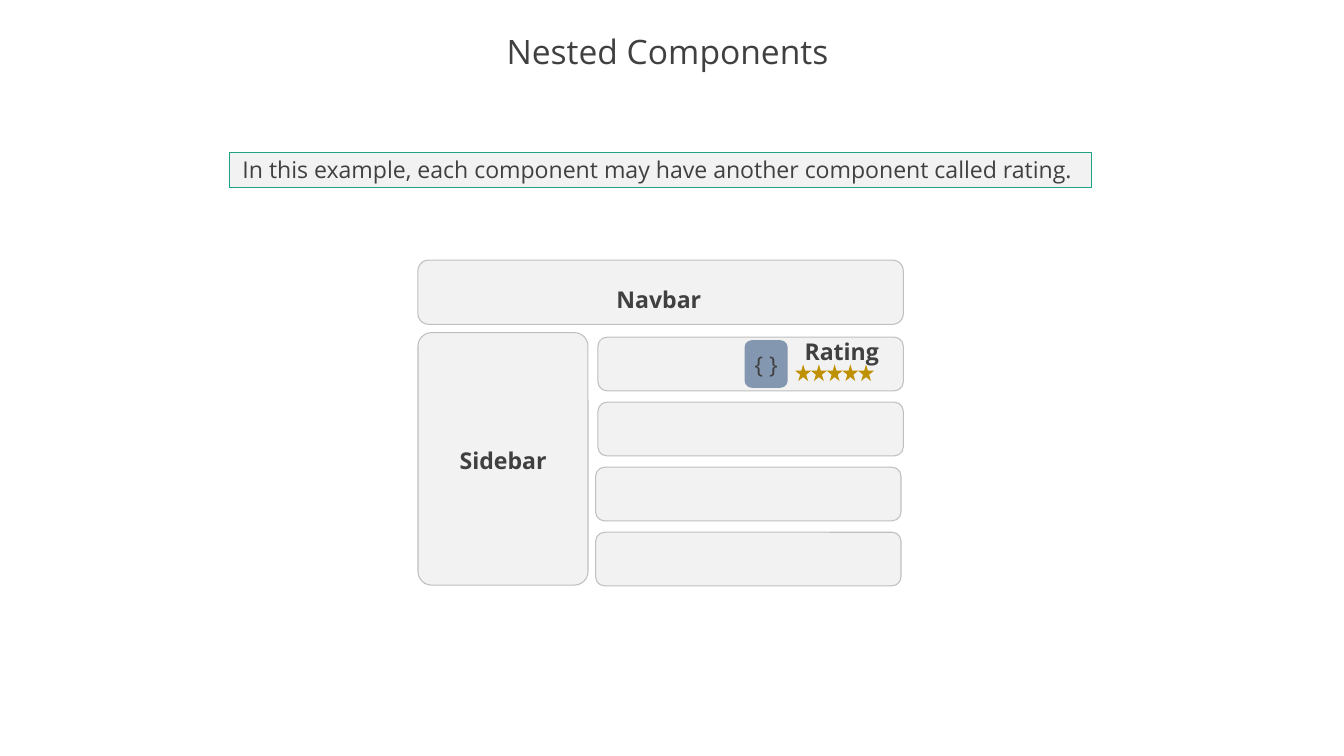
"""Build a slide showing a rating component nested inside a page layout."""
from dataclasses import dataclass
from typing import Any

from pptx import Presentation
from pptx.dml.color import RGBColor
from pptx.enum.shapes import MSO_SHAPE
from pptx.enum.text import MSO_ANCHOR, PP_ALIGN
from pptx.util import Inches, Pt


def color(value):
    return RGBColor.from_string(value)


@dataclass
class Composer:
    deck: Any
    page: Any
    font: str = "Open Sans"
    ink: str = "404040"
    panel_fill: str = "F2F2F2"
    panel_line: str = "BFBFBF"
    text_size: float = 22

    def area(self, left, top, width, height):
        across, down = self.deck.slide_width / 100, self.deck.slide_height / 100
        return [round(share * unit) for share, unit in
                zip((left, top, width, height), (across, down, across, down))]

    def set_text(self, box, text, size=None, bold=False, anchor=MSO_ANCHOR.TOP, wrap=True):
        frame = box.text_frame
        frame.word_wrap = wrap
        frame.vertical_anchor = anchor
        para = frame.paragraphs[0]
        para.alignment = PP_ALIGN.CENTER
        span = para.add_run()
        span.text = text
        span.font.name = self.font
        span.font.size = Pt(size or self.text_size)
        span.font.bold = bold
        span.font.color.rgb = color(self.ink)
        return para

    def title(self, area, text):
        box = self.page.shapes.title
        box.left, box.top, box.width, box.height = self.area(*area)
        para = self.set_text(box, text, size=32, anchor=MSO_ANCHOR.MIDDLE)
        para.line_spacing = 0.9

    def shape(self, kind, area, fill, line=None, weight=1):
        box = self.page.shapes.add_shape(kind, *self.area(*area))
        box.shadow.inherit = False
        box.fill.solid()
        box.fill.fore_color.rgb = color(fill)
        if line:
            box.line.color.rgb = color(line)
            box.line.width = Pt(weight)
        else:
            box.line.fill.background()
        return box

    def panel(self, area):
        return self.shape(MSO_SHAPE.ROUNDED_RECTANGLE, area, self.panel_fill, self.panel_line)

    def label(self, area, text):
        box = self.page.shapes.add_textbox(*self.area(*area))
        self.set_text(box, text, bold=True)

    def note(self, area, text):
        box = self.shape(MSO_SHAPE.RECTANGLE, area, self.panel_fill, "1EA185", 0.75)
        self.set_text(box, text, wrap=False)

    def badge(self, area, text):
        box = self.shape(MSO_SHAPE.ROUNDED_RECTANGLE, area, "8497B0")
        self.set_text(box, text, anchor=MSO_ANCHOR.MIDDLE)

    def stars(self, left, top, width, height, count, pitch):
        for index in range(count):
            self.shape(MSO_SHAPE.STAR_5_POINT,
                       (left + index * pitch, top, width, height), "BF9000")


def main():
    deck = Presentation()
    deck.slide_width, deck.slide_height = Inches(17.78), Inches(10)
    composer = Composer(deck, deck.slides.add_slide(deck.slide_layouts[5]))

    composer.title((0, 3.5, 100, 7.3), "Nested Components ")
    composer.note((17.04, 20.1, 64.17, 4.7),
                  "In this example, each component may have another component called rating. ")

    sidebar = composer.panel((31.1, 44, 12.65, 33.4))
    sidebar.adjustments[0] = 0.08
    composer.panel((31.1, 34.4, 36.11, 8.5))
    composer.label((43.76, 37.2, 10.52, 4.7), "Navbar")
    composer.label((32.17, 58.5, 10.52, 4.7), "Sidebar")

    for row, left in enumerate((44.49, 44.49, 44.32, 44.32)):
        composer.panel((left, 44.6 + 8.6 * row, 22.72, 7.1))

    composer.badge((55.4, 45, 3.21, 6.3), "{ }")
    composer.label((59.06, 44.1, 7.14, 4.7), "Rating")
    composer.stars(59.17, 48.2, 1.18, 2.2, count=5, pitch=1.17)

    deck.save("out.pptx")


if __name__ == "__main__":
    main()
